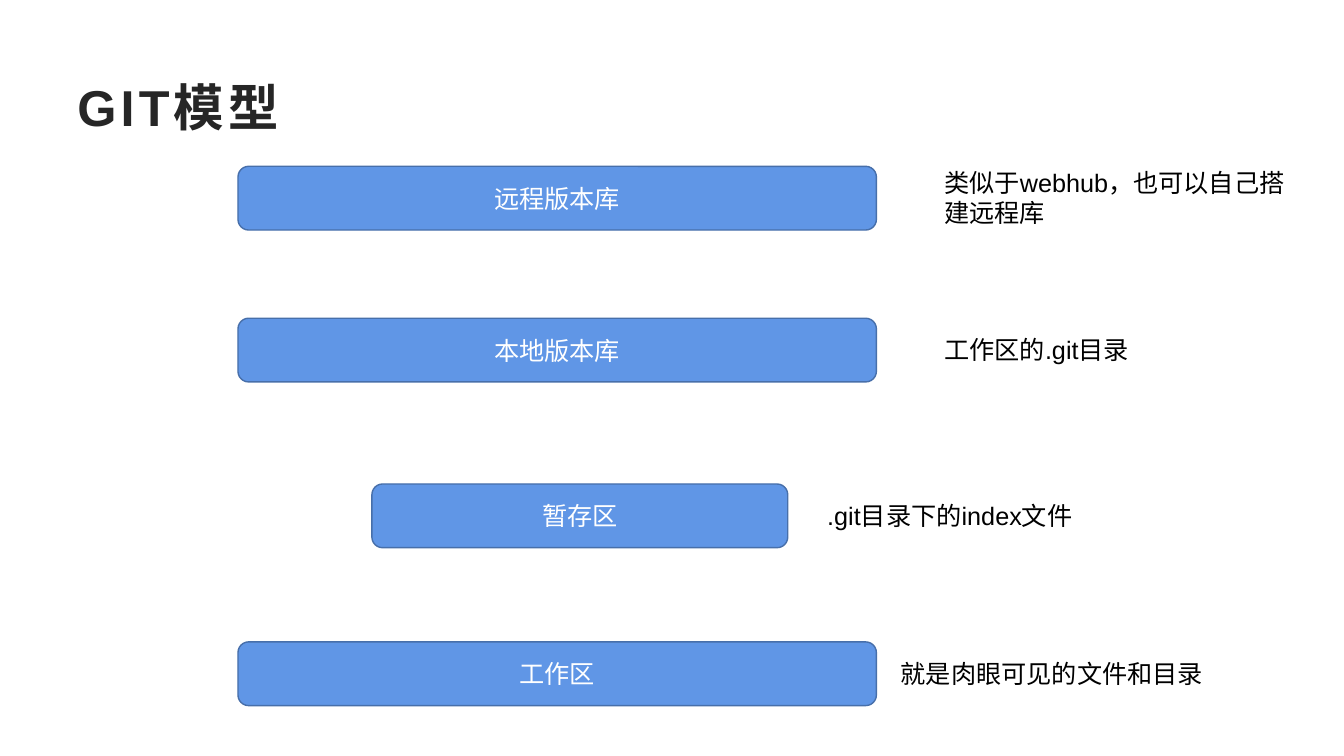
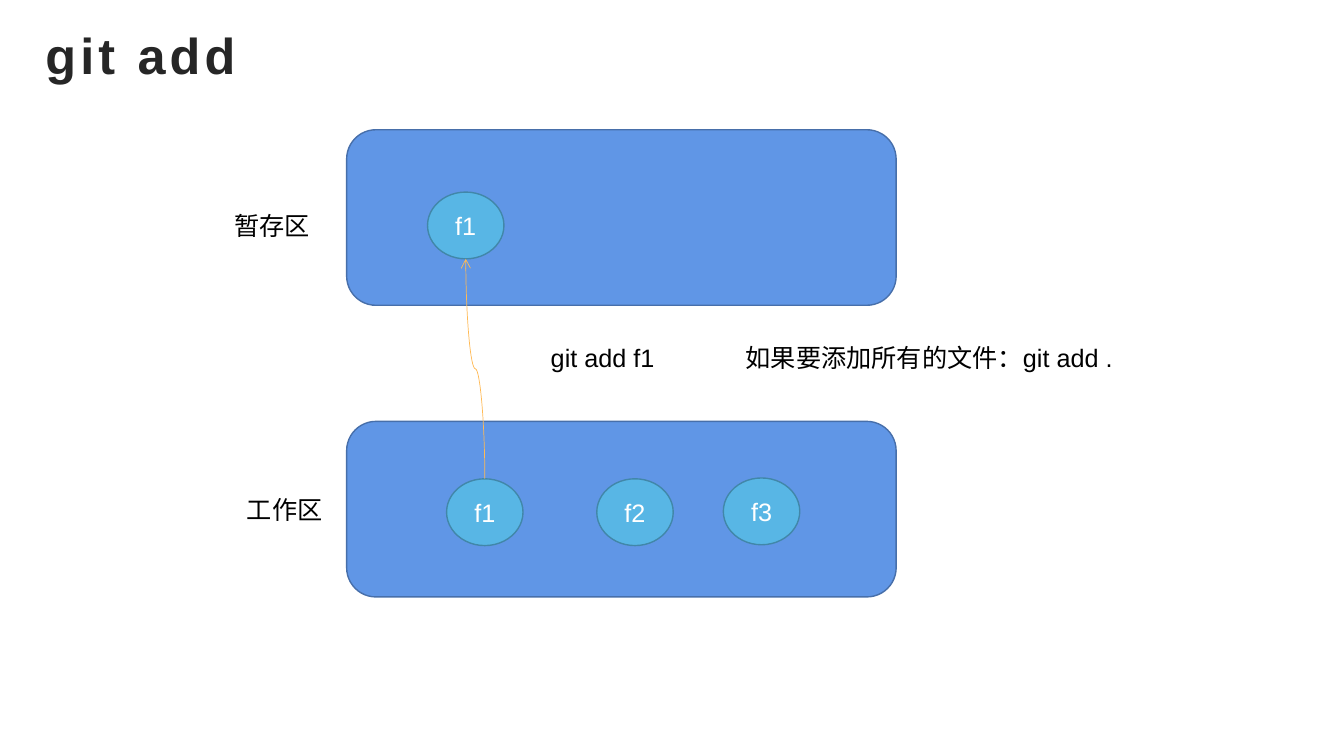
from dataclasses import dataclass

from lxml.etree import SubElement
from pptx import Presentation
from pptx.dml.color import RGBColor
from pptx.enum.shapes import MSO_CONNECTOR, MSO_SHAPE
from pptx.enum.text import MSO_ANCHOR, MSO_AUTO_SIZE, PP_ALIGN
from pptx.oxml.ns import qn
from pptx.shapes.autoshape import Shape
from pptx.slide import Slide
from pptx.util import Pt

HUES = {
    "bar": "6096E6", "edge": "476FAA",
    "file": "58B6E5", "rim": "4187A9",
    "arrow": "FFBA55", "head": "262626",
    "ink": "000000", "white": "FFFFFF",
}
BODY = {"name": "Arial", "size": Pt(18), "bold": False}
HEAD = {"name": "Arial", "size": Pt(36), "bold": True}
MID = {"vertical_anchor": MSO_ANCHOR.MIDDLE, "word_wrap": True}
TOP = {"vertical_anchor": MSO_ANCHOR.TOP, "word_wrap": True}
FIT = {"auto_size": MSO_AUTO_SIZE.NONE, **MID}


@dataclass(frozen=True)
class Box:
    """A place on the slide, in points."""
    x: float
    y: float
    w: float
    h: float


@dataclass(frozen=True)
class Kind:
    """The look of a family of shapes."""
    form: MSO_SHAPE
    fill: str
    line: str


@dataclass(frozen=True)
class Layer:
    """One bar of the model and the note beside it."""
    name: str
    bar: Box
    note: str
    side: Box


BAR = Kind(MSO_SHAPE.ROUNDED_RECTANGLE, "bar", "edge")
FILE = Kind(MSO_SHAPE.OVAL, "file", "rim")


def hue(key: str) -> RGBColor:
    """Look up a colour by its name."""
    return RGBColor.from_string(HUES[key])


def style(item: object, vals: dict) -> None:
    """Set each format value on an object."""
    for key, val in vals.items():
        setattr(item, key, val)


def place(shape: Shape, box: Box) -> None:
    """Move a shape into its box."""
    style(shape, {"left": Pt(box.x), "top": Pt(box.y),
                  "width": Pt(box.w), "height": Pt(box.h)})


def write(shape: Shape, text: str, font: dict, ink: str,
          frame: dict, align: PP_ALIGN) -> None:
    """Put one styled line of text into a shape."""
    style(shape.text_frame, frame)
    para = shape.text_frame.paragraphs[0]
    para.alignment = align
    run = para.add_run()
    run.text = text
    style(run.font, font)
    run.font.color.rgb = hue(ink)


def start(deck: Presentation, text: str, box: Box) -> Slide:
    """Add a slide with its title."""
    slide = deck.slides.add_slide(deck.slide_layouts[5])
    title = slide.shapes.title
    place(title, box)
    write(title, text, HEAD, "head", FIT, PP_ALIGN.LEFT)
    title.text_frame.paragraphs[0].runs[0].font._element.set("spc", "300")
    return slide


def draw(slide: Slide, kind: Kind, box: Box, text: str = "") -> Shape:
    """Draw a filled shape, with a centred label if given."""
    shape = slide.shapes.add_shape(
        kind.form, Pt(box.x), Pt(box.y), Pt(box.w), Pt(box.h))
    shape.shadow.inherit = False
    shape.fill.solid()
    shape.fill.fore_color.rgb = hue(kind.fill)
    shape.line.color.rgb = hue(kind.line)
    shape.line.width = Pt(1)
    if text:
        write(shape, text, BODY, "white", MID, PP_ALIGN.CENTER)
    return shape


def label(slide: Slide, text: str, box: Box) -> None:
    """Add a plain text box."""
    shape = slide.shapes.add_textbox(
        Pt(box.x), Pt(box.y), Pt(box.w), Pt(box.h))
    write(shape, text, BODY, "ink", TOP, PP_ALIGN.LEFT)


def rise(slide: Slide, low: Shape, high: Shape) -> None:
    """Draw a curved arrow from the top of one oval up to another."""
    line = slide.shapes.add_connector(MSO_CONNECTOR.CURVE, 0, 0, 0, 0)
    line.begin_connect(low, 0)
    line.end_connect(high, 0)
    # An oval has eight sites; the bottom one is number 4.
    for site in line._element.iter(qn("a:endCxn")):
        site.set("idx", "4")
    x1, x2 = (item.left + item.width // 2 for item in (low, high))
    y1, y2 = low.top, high.top + high.height
    # The curve runs sideways by default, so lay it flat and turn it.
    mid_x, mid_y = (x1 + x2) // 2, (y1 + y2) // 2
    run, lift = (y1 - y2) // 2, (x1 - x2) // 2
    style(line, {"begin_x": mid_x - run, "begin_y": mid_y + lift,
                 "end_x": mid_x + run, "end_y": mid_y - lift})
    props = line._element.spPr
    props.find(qn("a:xfrm")).set("rot", str(270 * 60000))
    line.line.color.rgb = hue("arrow")
    line.line.width = Pt(0.5)
    SubElement(props.find(qn("a:ln")), qn("a:tailEnd"), type="arrow")
    SubElement(props, qn("a:effectLst"))


def model(deck: Presentation) -> None:
    """Build the slide of the four layers."""
    slide = start(deck, "GIT模型", Box(48, 48, 864, 55.5))
    left, wide, tall = 170, 456, 45.5
    layers = [
        Layer("远程版本库", Box(left, 118.8, wide, tall),
              "类似于webhub，也可以自己搭建远程库", Box(667.4, 116, 259.5, 51)),
        Layer("本地版本库", Box(left, 227.3, wide, tall),
              "工作区的.git目录", Box(667.4, 235.5, 146.5, 29)),
        Layer("暂存区", Box(265.7, 345.7, 297, tall),
              ".git目录下的index文件", Box(583.8, 354, 189.5, 29)),
        Layer("工作区", Box(left, 458.5, wide, tall),
              "就是肉眼可见的文件和目录", Box(636.3, 466.6, 231.5, 29)),
    ]
    for layer in layers:
        draw(slide, BAR, layer.bar, layer.name)
        label(slide, layer.note, layer.side)


def adding(deck: Presentation) -> None:
    """Build the slide of a file going into the staging area."""
    slide = start(deck, "git add", Box(25.2, 10.8, 864, 55.5))
    for top in (92.7, 301):
        draw(slide, BAR, Box(247.6, top, 392.5, 125.4))
    staged, first, *_ = [
        draw(slide, FILE, Box(x, y, 54.6, 47.7), name)
        for name, x, y in (("f1", 305.4, 137.2), ("f1", 319, 342),
                           ("f2", 426.3, 342), ("f3", 516.7, 341.4))
    ]
    rise(slide, first, staged)
    for text, x, y, w in (("暂存区", 160.3, 146.7, 69.5),
                          ("工作区", 169.3, 349.5, 69.5),
                          ("git add f1", 386.3, 240.6, 90),
                          ("如果要添加所有的文件：git add .", 525.6, 240.6, 276.5)):
        label(slide, text, Box(x, y, w, 29))


def main() -> None:
    """Build and save the deck."""
    deck = Presentation()
    style(deck, {"slide_width": Pt(960), "slide_height": Pt(540)})
    model(deck)
    adding(deck)
    deck.save("out.pptx")


main()
